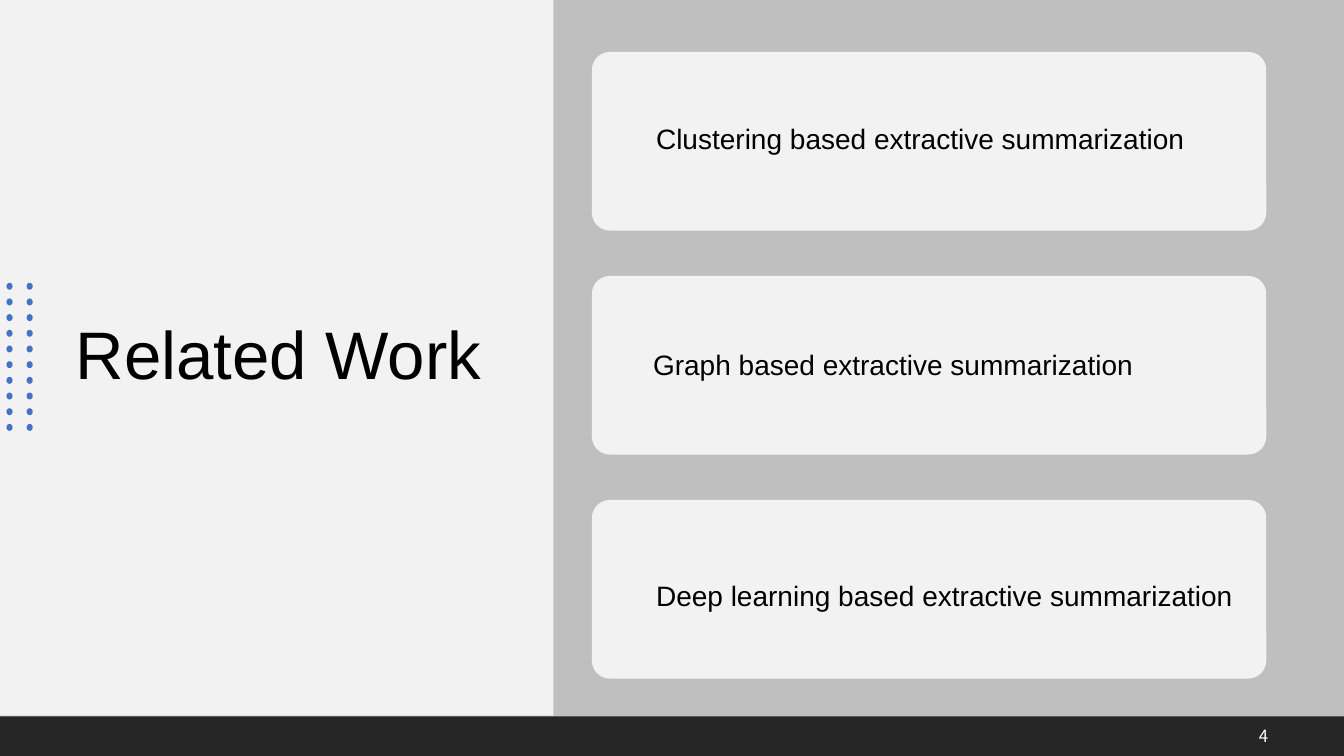
from typing import NamedTuple

from pptx import Presentation
from pptx.dml.color import RGBColor
from pptx.enum.shapes import MSO_SHAPE
from pptx.enum.text import MSO_ANCHOR, MSO_AUTO_SIZE, PP_ALIGN
from pptx.util import Pt

LIGHT, GREY, DARK, BLUE = "F2F2F2", "BFBFBF", "262626", "4472C4"


class Box(NamedTuple):
    left: float
    top: float
    width: float
    height: float


class Label(NamedTuple):
    text: str
    box: Box


LABELS = [
    Label("Clustering based extractive summarization", Box(461.5, 83.5, 394.5, 31.5)),
    Label("Graph based extractive summarization", Box(459.4, 244.8, 360, 31.5)),
    Label("Deep learning based extractive summarization", Box(461.5, 409.7, 430, 31.5)),
]


def paint(fill, color: str) -> None:
    fill.solid()
    fill.fore_color.rgb = RGBColor.from_string(color)


def draw(shapes, kind: MSO_SHAPE, box: Box, color: str):
    shape = shapes.add_shape(kind, *map(Pt, box))
    shape.shadow.inherit = False
    paint(shape.fill, color)
    shape.line.fill.background()
    return shape


def write(frame, text: str, size: float, color: str = "000000", face: str = "Arial"):
    frame.text = text
    par = frame.paragraphs[0]
    par.font.name = face
    par.font.size = Pt(size)
    paint(par.font.fill, color)
    return par


def main() -> None:
    deck = Presentation()
    deck.slide_width, deck.slide_height = Pt(960), Pt(540)
    slide = deck.slides.add_slide(deck.slide_layouts[5])
    shapes = slide.shapes
    paint(slide.background.fill, GREY)

    # Title on its light panel
    title = shapes.title
    panel = draw(shapes, MSO_SHAPE.RECTANGLE, Box(0, 0, 395.3, 511.2), LIGHT)
    title.element.addprevious(panel.element)
    title.left, title.top, title.width, title.height = map(Pt, Box(46.8, 95, 331.2, 320.4))
    title.text_frame.vertical_anchor = MSO_ANCHOR.MIDDLE
    head = write(title.text_frame, "Related Work", 48)
    head.alignment = PP_ALIGN.LEFT
    head.line_spacing = 0.9

    # Dot grid
    dots = shapes.add_group_shape().shapes
    for row in range(10):
        for col in range(2):
            spot = Box(4.6 + 14.4 * col, 202 + 11.2 * row, 4.4, 5)
            draw(dots, MSO_SHAPE.OVAL, spot, BLUE)

    # Footer bar and page number
    draw(shapes, MSO_SHAPE.RECTANGLE, Box(0, 511.7, 960, 28.3), DARK)
    page = shapes.add_textbox(*map(Pt, Box(697, 511.2, 216, 28.8))).text_frame
    page.word_wrap = True
    page.vertical_anchor = MSO_ANCHOR.MIDDLE
    number = write(page, "4", 12, "FFFFFF", "Noto Sans CJK SC")
    number.alignment = PP_ALIGN.RIGHT
    number.space_after = Pt(6)

    # Cards
    cards = shapes.add_group_shape().shapes
    for row in range(len(LABELS)):
        place = Box(422.8, 37.1 + 160 * row, 481.7, 127.6)
        card = draw(cards, MSO_SHAPE.ROUNDED_RECTANGLE, place, LIGHT)
        card.adjustments[0] = 0.1

    # Card labels
    for label in LABELS:
        frame = shapes.add_textbox(*map(Pt, label.box)).text_frame
        frame.word_wrap = False
        frame.auto_size = MSO_AUTO_SIZE.SHAPE_TO_FIT_TEXT
        write(frame, label.text, 20)

    deck.save("out.pptx")


if __name__ == "__main__":
    main()
